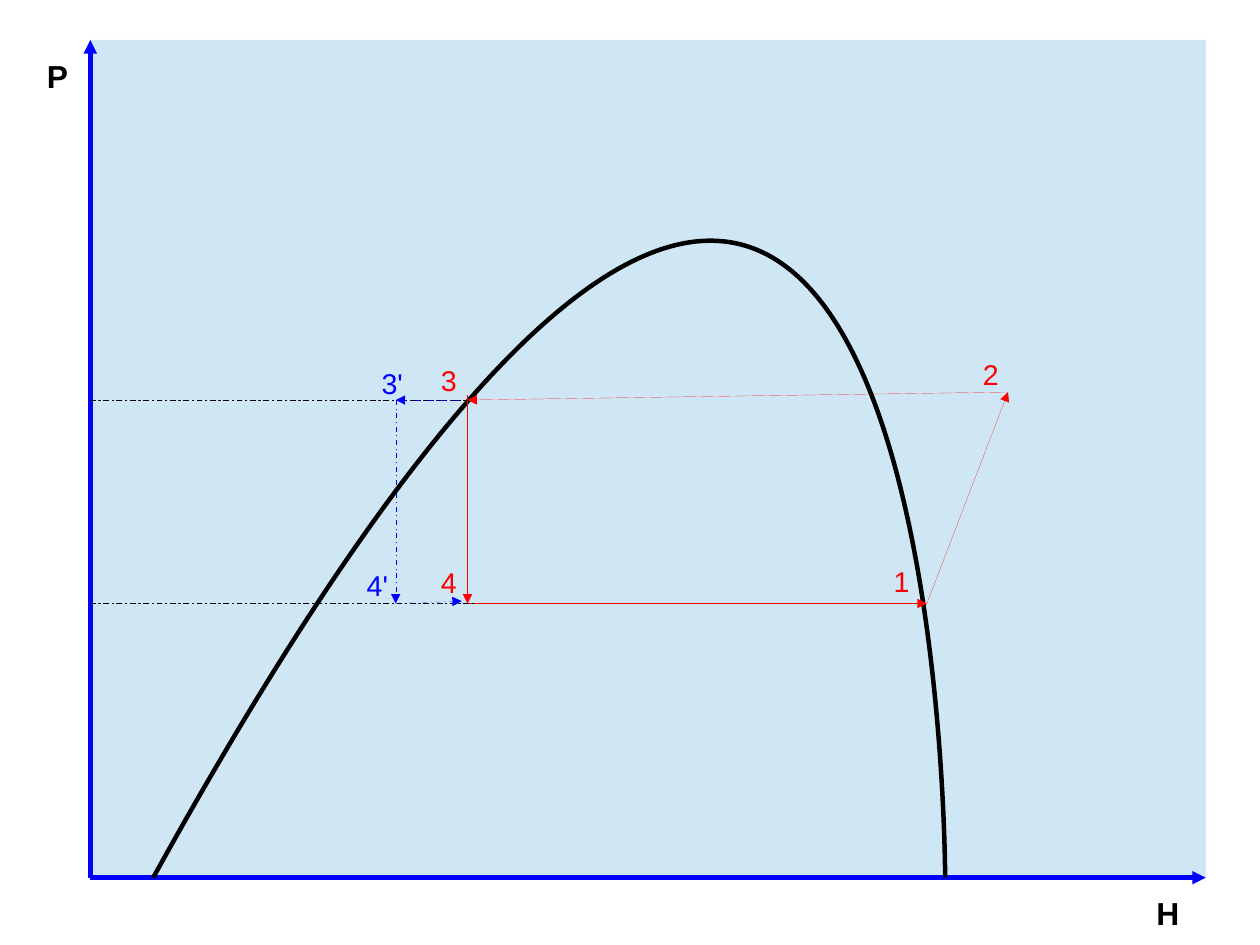
from typing import NamedTuple, Optional

from pptx import Presentation
from pptx.dml.color import RGBColor
from pptx.enum import dml, shapes, text
from pptx.oxml import ns, xmlchemy
from pptx.util import Pt

BLACK, RED, BLUE, SKY = "000000", "FF0000", "0000FF", "CFE7F5"
AXIS_WIDTH = 2.83
LEFT, TOP, RIGHT, BASE = 56.9, 25.2, 759.6, 552.9
HIGH, LOW = 252, 380.2
X_SUBCOOLED, X_LIQUID, X_VAPOUR = 249.3, 294.5, 583.9
X_HOT, Y_HOT = 635, 247
DOME_LEFT, DOME_RIGHT, DOME_PULL = 96.5, 595.4, 902.9
DOME_TOP = BASE - DOME_PULL * 4 / 9


class Line(NamedTuple):
    x1: float
    y1: float
    x2: float
    y2: float
    color: str
    width: float = 0
    arrow: bool = True
    dash: Optional[dml.MSO_LINE] = None


class Label(NamedTuple):
    text: str
    left: float
    top: float
    width: float
    color: str
    height: float = 27.4
    size: float = 18
    bold: bool = False


DASHED = dml.MSO_LINE.DASH_DOT

AXES = [
    Line(LEFT, BASE, LEFT, TOP, BLUE, AXIS_WIDTH),
    Line(LEFT, BASE, RIGHT, BASE, BLUE, AXIS_WIDTH),
]
CYCLE = [
    Line(X_LIQUID, 249.1, X_LIQUID, LOW, RED),
    Line(X_LIQUID, LOW, X_VAPOUR, LOW, RED),
    Line(X_VAPOUR, LOW, X_HOT, Y_HOT, RED),
    Line(X_HOT, Y_HOT, X_LIQUID, HIGH, RED),
    Line(LEFT, LOW, 300.2, LOW, BLACK, arrow=False, dash=DASHED),
    Line(LEFT, HIGH, X_LIQUID, HIGH, BLACK, arrow=False, dash=DASHED),
]
SUBCOOLING = [
    Line(289.4, HIGH, X_SUBCOOLED, HIGH, BLUE, dash=DASHED),
    Line(X_SUBCOOLED, LOW, 290.9, 378.7, BLUE, dash=DASHED),
    Line(X_SUBCOOLED, HIGH, X_SUBCOOLED, LOW, BLUE, dash=DASHED),
]
LABELS = [
    Label("P", 22.5, 32.4, 27.4, BLACK, 29.5, 20, True),
    Label("H", 721.4, 559.4, 28.8, BLACK, 29.5, 20, True),
    Label("1", 555.8, 351.4, 24.5, RED),
    Label("4", 270.7, 352.4, 24.5, RED),
    Label("2", 612, 221, 24.5, RED),
    Label("3", 270.7, 224.9, 24.5, RED),
    Label("4'", 223.9, 354.2, 30, BLUE),
    Label("3'", 233.3, 226.8, 30, BLUE),
]


def rgb(value: str) -> RGBColor:
    return RGBColor.from_string(value)


def add_line(s, line: Line) -> None:
    c = s.shapes.add_connector(
        shapes.MSO_CONNECTOR.STRAIGHT,
        Pt(line.x1), Pt(line.y1), Pt(line.x2), Pt(line.y2),
    )
    c.line.color.rgb = rgb(line.color)
    if line.dash is not None:
        c.line.dash_style = line.dash
    ln = c.line._get_or_add_ln()
    ln.set("w", str(Pt(line.width)))
    if line.arrow:
        end = xmlchemy.OxmlElement("a:tailEnd")
        end.set("type", "triangle")
        ln.append(end)
    c._element.find(ns.qn("p:spPr")).append(xmlchemy.OxmlElement("a:effectLst"))


def add_label(s, label: Label) -> None:
    sp = s.shapes.add_textbox(
        Pt(label.left), Pt(label.top), Pt(label.width), Pt(label.height)
    )
    tf = sp.text_frame
    tf.word_wrap = False
    tf.auto_size = text.MSO_AUTO_SIZE.SHAPE_TO_FIT_TEXT
    p = tf.paragraphs[0]
    r = p.add_run()
    r.text = label.text
    r.font.name = "Arial"
    r.font.size = Pt(label.size)
    r.font.bold = label.bold
    r.font.color.rgb = rgb(label.color)


def add_panel(s) -> None:
    sp = s.shapes.add_shape(
        shapes.MSO_SHAPE.RECTANGLE,
        Pt(LEFT), Pt(TOP), Pt(RIGHT - LEFT), Pt(BASE - TOP),
    )
    sp.shadow.inherit = False
    sp.fill.solid()
    sp.fill.fore_color.rgb = rgb(SKY)
    sp.line.fill.background()


def add_dome(s) -> None:
    builder = s.shapes.build_freeform(Pt(DOME_LEFT), Pt(BASE))
    builder.add_line_segments(
        [(Pt(DOME_RIGHT), Pt(DOME_TOP)), (Pt(DOME_RIGHT), Pt(BASE))], close=False
    )
    sp = builder.convert_to_shape()
    outline = sp._element.find(".//" + ns.qn("a:path"))
    for segment in outline.findall(ns.qn("a:lnTo")):
        outline.remove(segment)
    curve = xmlchemy.OxmlElement("a:cubicBezTo")
    for y in (BASE - DOME_PULL, BASE, BASE):
        pt = xmlchemy.OxmlElement("a:pt")
        pt.set("x", str(Pt(DOME_RIGHT - DOME_LEFT)))
        pt.set("y", str(Pt(y - DOME_TOP)))
        curve.append(pt)
    outline.append(curve)
    sp.shadow.inherit = False
    sp.fill.background()
    sp.line.color.rgb = rgb(BLACK)
    sp.line.width = Pt(AXIS_WIDTH)


def main() -> None:
    prs = Presentation()
    prs.slide_width, prs.slide_height = Pt(793.7), Pt(595.3)
    s = prs.slides.add_slide(prs.slide_layouts[6])
    add_panel(s)
    for line in AXES:
        add_line(s, line)
    add_dome(s)
    for line in CYCLE + SUBCOOLING:
        add_line(s, line)
    for label in LABELS:
        add_label(s, label)
    prs.save("out.pptx")


if __name__ == "__main__":
    main()
